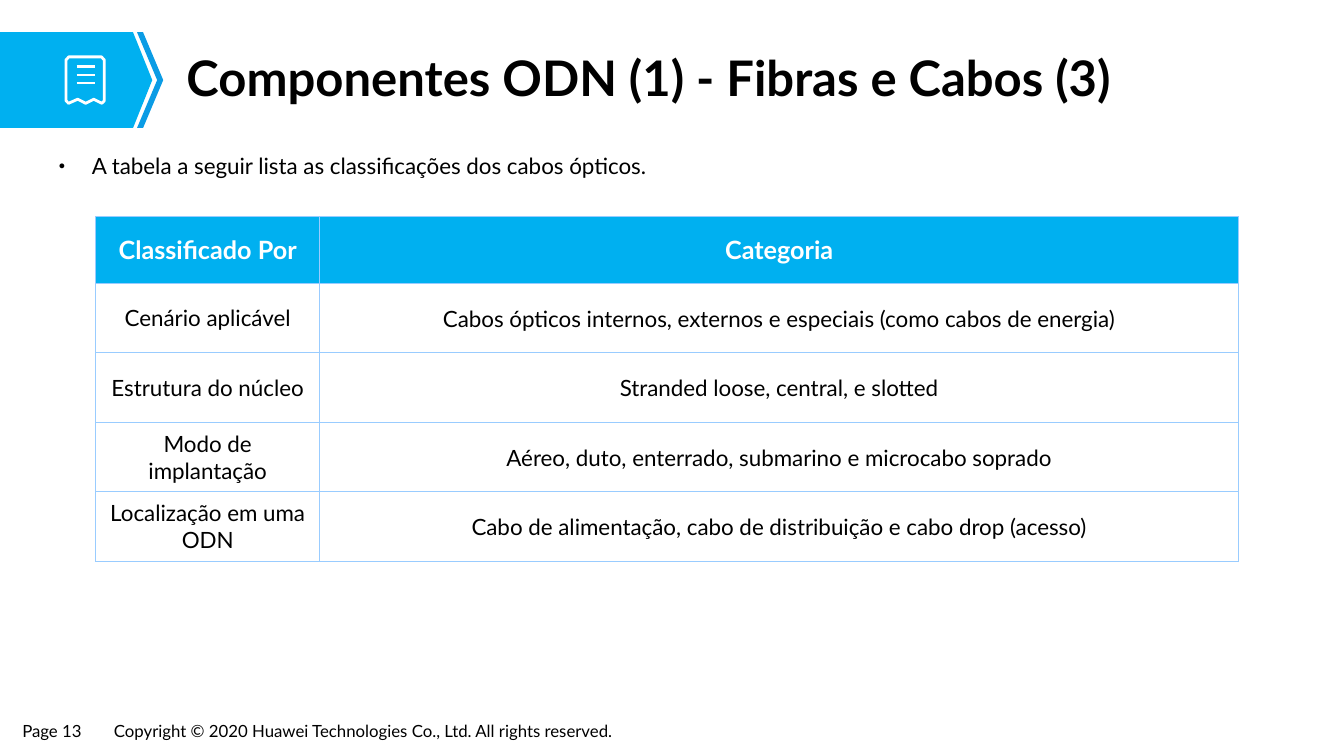
"""Build the slide on the classification of optical cables in an ODN."""
from lxml.etree import SubElement
from pptx import Presentation
from pptx.dml.color import RGBColor
from pptx.enum.shapes import MSO_CONNECTOR
from pptx.enum.text import MSO_ANCHOR, MSO_AUTO_SIZE, PP_ALIGN
from pptx.oxml.ns import qn
from pptx.util import Inches, Pt

FONT = "Lato"
BLACK, WHITE, CYAN, BLUE, BORDER = "000000", "FFFFFF", "00B0F0", "0B9CE5", "99CCFF"

deck = Presentation()
deck.slide_width, deck.slide_height = Inches(13.3333), Inches(7.5)
column, row = deck.slide_width / 100, deck.slide_height / 100


def place(left, top, width, height):
    """Turn percentages of the slide's size into lengths."""
    return round(left * column), round(top * row), round(width * column), round(height * row)


def colour(value):
    """Turn a hex string into a colour."""
    return RGBColor.from_string(value)


slide = deck.slides.add_slide(deck.slide_layouts[1])
shapes = slide.shapes
title, body = slide.placeholders

header_top, header_middle, header_bottom = 4.27, 10.6, 16.93
banner = [(0, header_top), (9.9, header_top), (11.33, header_middle),
          (9.9, header_bottom), (0, header_bottom)]
chevron = [(10.2, header_top), (10.65, header_top), (12.15, header_middle),
           (10.65, header_bottom), (10.2, header_bottom), (11.7, header_middle)]
receipt = [(5.12, 7.53), (7.55, 7.53), (7.76, 7.93), (7.76, 13.33), (7.58, 13.67),
           (6.98, 13.13), (6.38, 13.67), (5.78, 13.13), (5.1, 13.67), (4.91, 13.33),
           (4.91, 7.93)]
for points, fill in [(banner, CYAN), (chevron, BLUE), (receipt, None)]:
    start, *others = [(round(x * 100), round(y * 100)) for x, y in points]
    builder = shapes.build_freeform(*start, scale=(column / 100, row / 100))
    builder.add_line_segments(others)
    outline = builder.convert_to_shape()
    outline.shadow.inherit = False
    if fill:
        outline.fill.solid()
        outline.fill.fore_color.rgb = colour(fill)
        outline.line.fill.background()
    else:
        outline.fill.background()
        outline.line.color.rgb = colour(WHITE)
        outline.line.width = Pt(2)
        SubElement(outline.line._get_or_add_ln(), qn("a:round"))

for index in range(3):
    left, top, width, _ = place(5.7, 8.8 + 1.1 * index, 1.35, 0)
    rule = shapes.add_connector(MSO_CONNECTOR.STRAIGHT, left, top, left + width, top)
    rule.line.color.rgb = colour(WHITE)
    rule.line.width = Pt(1.75)
    SubElement(rule._element.spPr, qn("a:effectLst"))

page_box = shapes.add_textbox(*place(0.98, 94.8, 6.08, 3.87))
copyright_box = shapes.add_textbox(*place(7.8, 94.8, 40.58, 3.87))
title.left, title.top, title.width, title.height = place(13.05, 6, 80.63, 9.33)
body.left, body.top, body.width, body.height = place(3.68, 18.13, 92.7, 68.27)

bullet = body.text_frame.paragraphs[0]._p.get_or_add_pPr()
bullet.set("marL", str(Inches(0.33)))
bullet.set("indent", str(-Inches(0.33)))
SubElement(bullet, qn("a:buSzPct"), val="50000")
SubElement(bullet, qn("a:buChar"), char="●")

texts = [
    (page_box, "Page 13", 12, False, PP_ALIGN.LEFT, 1, 0.09, 0.04),
    (copyright_box, "Copyright © 2020 Huawei Technologies Co., Ltd. All rights reserved.",
     12, False, PP_ALIGN.LEFT, 1, 0.09, 0.04),
    (title, "Componentes ODN (1) - Fibras e Cabos (3)", 35, True, PP_ALIGN.LEFT, 0.9, 0.11, 0.06),
    (body, "A tabela a seguir lista as classificações dos cabos ópticos.",
     16, False, PP_ALIGN.JUSTIFY, 1.4, 0.09, 0.04),
]
for box, text, size, bold, alignment, spacing, side, edge in texts:
    frame = box.text_frame
    frame.auto_size = MSO_AUTO_SIZE.NONE
    frame.word_wrap = box in (title, body)
    frame.vertical_anchor = MSO_ANCHOR.MIDDLE if box is title else MSO_ANCHOR.TOP
    frame.margin_left = frame.margin_right = Inches(side)
    frame.margin_top = frame.margin_bottom = Inches(edge)
    para = frame.paragraphs[0]
    para.alignment = alignment
    para.line_spacing = spacing
    para.space_before = Pt(0)
    span = para.add_run()
    span.text = text
    span.font.name, span.font.size, span.font.bold = FONT, Pt(size), bold
    span.font.color.rgb = colour(BLACK)

classes = [
    ("Classificado Por", "Categoria"),
    ("Cenário aplicável", "Cabos ópticos internos, externos e especiais (como cabos de energia)"),
    ("Estrutura do núcleo", "Stranded loose, central, e slotted"),
    ("Modo de implantação", "Aéreo, duto, enterrado, submarino e microcabo soprado"),
    ("Localização em uma ODN", "Cabo de alimentação, cabo de distribuição e cabo drop (acesso)"),
]
table = shapes.add_table(len(classes), 2, *place(7.13, 28.67, 85.05, 45.6)).table
table.horz_banding = False
for table_column, share in zip(table.columns, (16.65, 68.4)):
    table_column.width = round(share * column)
for row_index, entries in enumerate(classes):
    heading = row_index == 0
    table.rows[row_index].height = round((8.8 if heading else 9.2) * row)
    for column_index, text in enumerate(entries):
        cell = table.cell(row_index, column_index)
        tight = column_index == 1 and not heading
        cell.vertical_anchor = MSO_ANCHOR.MIDDLE
        cell.margin_left = cell.margin_right = Inches(0.01 if tight else 0.07)
        cell.margin_top = Inches(0.01 if tight else 0)
        cell.margin_bottom = 0
        for side in ("a:lnL", "a:lnR", "a:lnT", "a:lnB"):
            border = SubElement(cell._tc.get_or_add_tcPr(), qn(side), w=str(Pt(1)))
            SubElement(SubElement(border, qn("a:solidFill")), qn("a:srgbClr"), val=BORDER)
        if heading:
            cell.fill.solid()
            cell.fill.fore_color.rgb = colour(CYAN)
        else:
            cell.fill.background()
        para = cell.text_frame.paragraphs[0]
        para.alignment = PP_ALIGN.CENTER
        span = para.add_run()
        span.text = text
        span.font.name, span.font.bold = FONT, heading
        span.font.size = Pt(18 if heading else 16)
        span.font.color.rgb = colour(WHITE if heading else BLACK)

deck.save("out.pptx")
